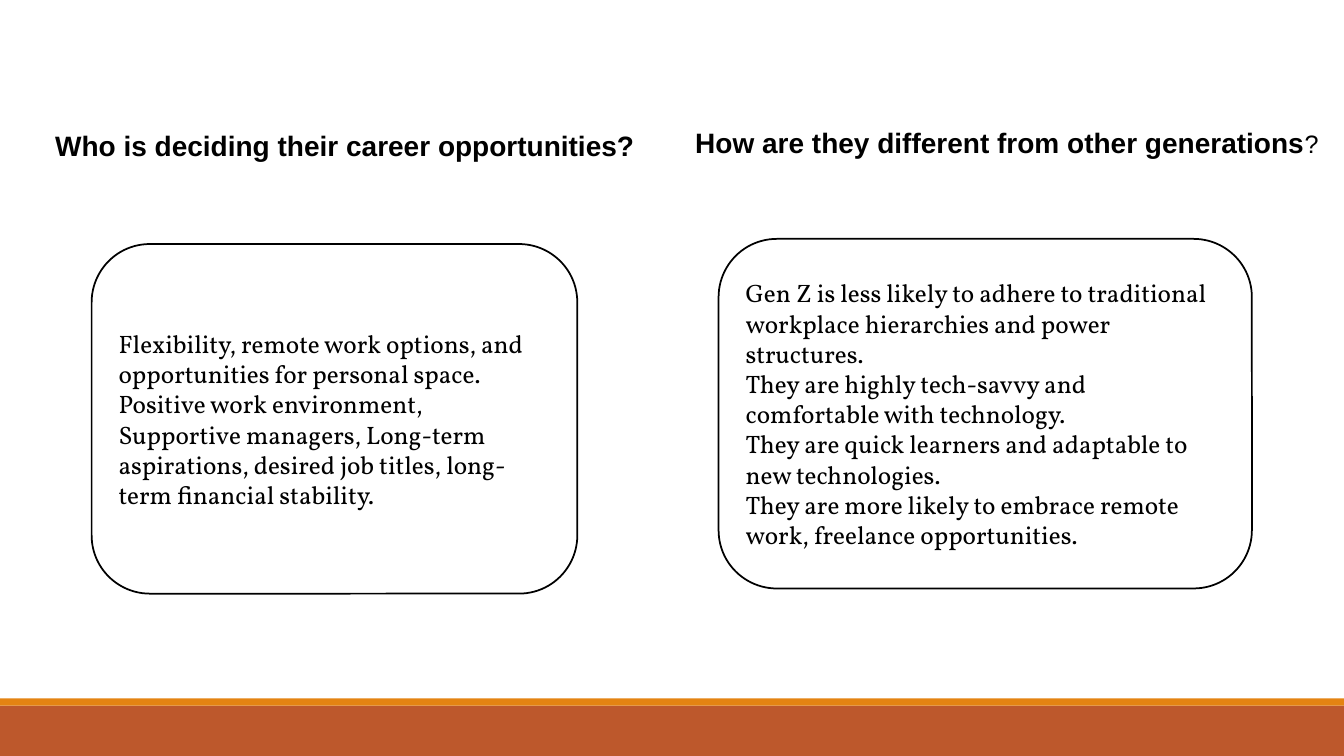
from pptx import Presentation
from pptx.dml.color import RGBColor
from pptx.enum.shapes import MSO_SHAPE
from pptx.enum.text import MSO_ANCHOR, MSO_AUTO_SIZE, PP_ALIGN
from pptx.util import Cm, Pt

COLORS = {"rust": "BD582C", "orange": "E48312", "ink": "000000", "paper": "FFFFFF"}
SLIDE_WIDTH, SLIDE_HEIGHT = 33.87, 19.05
BANDS = [("rust", 17.78, 1.27), ("orange", 17.6, 0.18)]

QUESTION = {"name": "Arial", "size": Pt(20), "bold": True}
QUESTION_MARK = {"name": "Arial", "size": Pt(18), "bold": False}
ANSWER = {"name": "Vollkorn", "size": Pt(18), "bold": False}
QUESTION_FRAME = {"word_wrap": False, "auto_size": MSO_AUTO_SIZE.SHAPE_TO_FIT_TEXT}
ANSWER_FRAME = {"word_wrap": True, "vertical_anchor": MSO_ANCHOR.MIDDLE}

TOPICS = [
    {
        "question": [("Who is deciding their career opportunities?", QUESTION)],
        "question_box": (1.14, 3.12, 15.21, 1.12),
        "answers": [
            "Flexibility, remote work options, and opportunities for personal space. "
            "Positive work environment,",
            "Supportive managers, Long-term aspirations, desired job titles, "
            "long-term financial stability.",
        ],
        "answer_box": (2.31, 6.15, 12.24, 8.81),
    },
    {
        "question": [
            ("How are they different from other generations", QUESTION),
            ("?", QUESTION_MARK),
        ],
        "question_box": (17.27, 3.05, 16.33, 1.12),
        "answers": [
            "Gen Z is less likely to adhere to traditional workplace hierarchies "
            "and power structures.",
            "They are highly tech-savvy and comfortable with technology.",
            "They are quick learners and adaptable to new technologies.",
            "They are more likely to embrace remote work, freelance opportunities.",
        ],
        "answer_box": (18.11, 6.02, 13.44, 8.81),
    },
]


def color(name):
    return RGBColor.from_string(COLORS[name])


def apply(target, values):
    for key, value in values.items():
        setattr(target, key, value)


def add_filled(slide, preset, box, fill):
    shape = slide.shapes.add_shape(preset, *map(Cm, box))
    shape.shadow.inherit = False
    shape.fill.solid()
    shape.fill.fore_color.rgb = color(fill)
    shape.line.fill.background()
    return shape


def write(frame, paragraphs, frame_format):
    apply(frame, frame_format)
    for index, pieces in enumerate(paragraphs):
        paragraph = frame.add_paragraph() if index else frame.paragraphs[0]
        paragraph.alignment = PP_ALIGN.LEFT
        for text, font_format in pieces:
            run = paragraph.add_run()
            run.text = text
            apply(run.font, font_format)
            run.font.color.rgb = color("ink")


def main():
    deck = Presentation()
    apply(deck, {"slide_width": Cm(SLIDE_WIDTH), "slide_height": Cm(SLIDE_HEIGHT)})
    slide = deck.slides.add_slide(deck.slide_layouts[6])

    for fill, top, height in BANDS:
        add_filled(slide, MSO_SHAPE.RECTANGLE, (0, top, SLIDE_WIDTH, height), fill)

    for topic in TOPICS:
        question = slide.shapes.add_textbox(*map(Cm, topic["question_box"]))
        write(question.text_frame, [topic["question"]], QUESTION_FRAME)

        card = add_filled(slide, MSO_SHAPE.ROUNDED_RECTANGLE, topic["answer_box"], "paper")
        card.line.color.rgb = color("ink")
        card.line.width = Pt(1.25)
        answers = [[(answer, ANSWER)] for answer in topic["answers"]]
        write(card.text_frame, answers, ANSWER_FRAME)

    deck.save("out.pptx")


if __name__ == "__main__":
    main()
